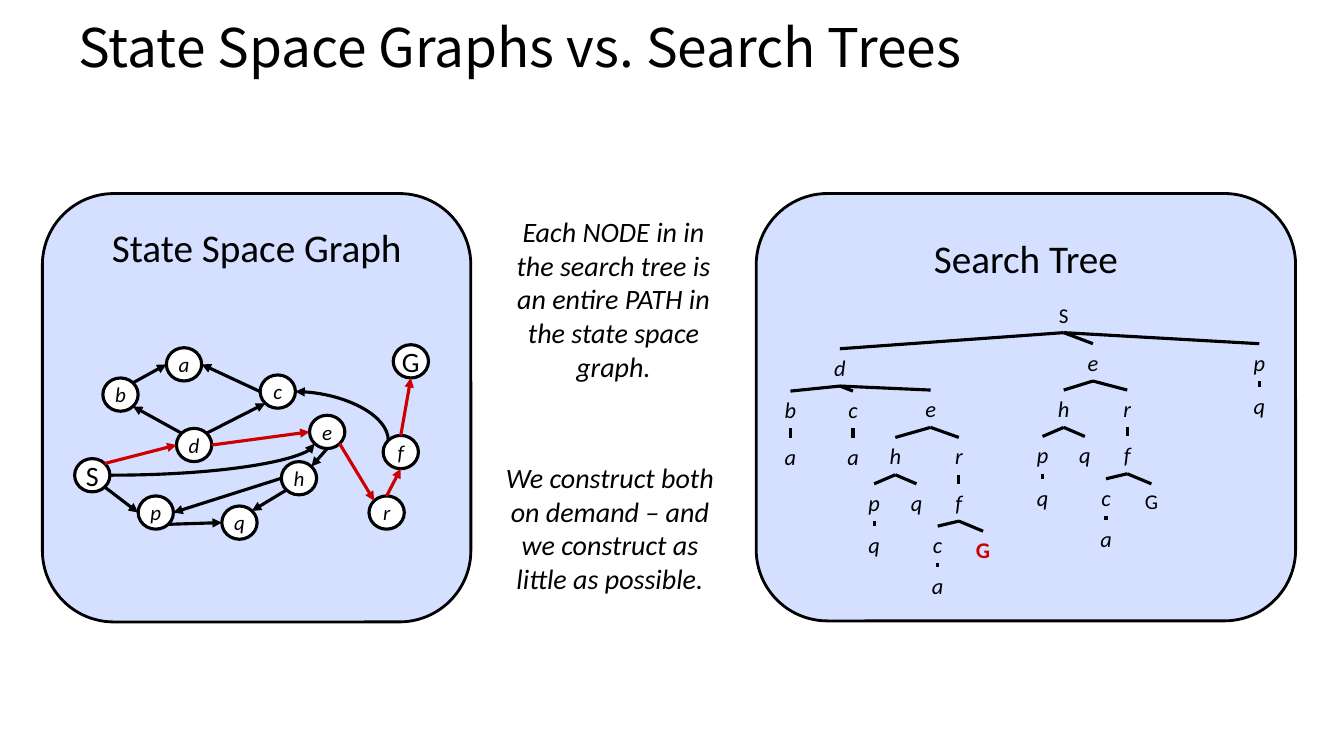
from dataclasses import dataclass, field

from lxml.etree import SubElement
from pptx import Presentation
from pptx.dml.color import RGBColor
from pptx.enum.shapes import MSO_CONNECTOR as Link, MSO_SHAPE as Preset
from pptx.enum.text import MSO_ANCHOR as Anchor, PP_ALIGN as Align
from pptx.oxml.ns import qn
from pptx.util import Pt

PX = 9144  # one px is a hundredth of an inch
COLORS = {"black": "000000", "white": "FFFFFF", "red": "CC0000", "panel": "D5DFFF"}
BODY_FONT, TITLE_FONT = "Calibri", "Noto Sans CJK KR"
NODE_W, NODE_H = 35, 33
LABEL_W, LABEL_H = 34, 37
DIAGONAL = 0.707
# Circle connection sites: index, then direction from the centre
SITES = {"T": (0, 0, -1), "TL": (1, -DIAGONAL, -DIAGONAL), "L": (2, -1, 0),
         "BL": (3, -DIAGONAL, DIAGONAL), "B": (4, 0, 1), "BR": (5, DIAGONAL, DIAGONAL),
         "R": (6, 1, 0), "TR": (7, DIAGONAL, -DIAGONAL)}


@dataclass
class TextStyle:
    size: int
    italic: bool = False
    bold: bool = False
    color: str = "black"
    font: str = BODY_FONT


@dataclass
class GraphNode:
    label: str
    left: int
    top: int


@dataclass
class GraphEdge:
    start: str
    start_site: str
    end: str
    end_site: str
    color: str = "black"
    curved: bool = False
    arrow: str = "tailEnd"


LETTER = TextStyle(16, italic=True)
CAPITAL = TextStyle(15)
GOAL = TextStyle(16, bold=True, color="red")
NOTE = TextStyle(20, italic=True)
HEADING = TextStyle(28)


@dataclass
class TreeNode:
    label: str
    center: int
    top: int
    children: list["TreeNode"] = field(default_factory=list)
    style: TextStyle = field(default_factory=lambda: LETTER)
    width: int = LABEL_W
    height: int = LABEL_H


def rgb(name: str) -> RGBColor:
    return RGBColor.from_string(COLORS[name])


def style_text(shape, text: str, style: TextStyle, align=Align.CENTER) -> None:
    shape.text_frame.text = text
    para = shape.text_frame.paragraphs[0]
    para.alignment = align
    font = para.runs[0].font
    font.name, font.size = style.font, Pt(style.size)
    font.italic, font.bold = style.italic, style.bold
    font.color.rgb = rgb(style.color)


def add_text(page, left: int, top: int, width: int, height: int, text: str,
             style: TextStyle, align=Align.CENTER):
    box = page.shapes.add_textbox(left * PX, top * PX, width * PX, height * PX)
    box.text_frame.word_wrap = True
    style_text(box, text, style, align)
    return box


def add_outlined(page, preset, left: int, top: int, width: int, height: int,
                 fill: str, weight: float):
    shape = page.shapes.add_shape(preset, left * PX, top * PX, width * PX, height * PX)
    shape.shadow.inherit = False
    shape.fill.solid()
    shape.fill.fore_color.rgb = rgb(fill)
    shape.line.color.rgb = rgb("black")
    shape.line.width = Pt(weight)
    return shape


def add_line(page, start: tuple, end: tuple, color: str = "black", kind=Link.STRAIGHT):
    line = page.shapes.add_connector(kind, *(round(n * PX) for n in (*start, *end)))
    line.line.color.rgb = rgb(color)
    line.line.width = Pt(2.25)
    SubElement(line._element.spPr, qn("a:effectLst"))
    return line


def add_circle(page, node: GraphNode):
    circle = add_outlined(page, Preset.FLOWCHART_CONNECTOR, node.left, node.top,
                          NODE_W, NODE_H, "white", 2.25)
    style = TextStyle(20) if node.label.isupper() else TextStyle(15, italic=True)
    circle.text_frame.word_wrap = False
    circle.text_frame.vertical_anchor = Anchor.MIDDLE
    style_text(circle, node.label, style)
    return circle


def site_point(node: GraphNode, site: str) -> tuple[float, float]:
    _, across, down = SITES[site]
    return (node.left + NODE_W / 2 * (1 + across), node.top + NODE_H / 2 * (1 + down))


def add_edge(page, edge: GraphEdge, nodes: dict, circles: dict) -> None:
    kind = Link.CURVE if edge.curved else Link.STRAIGHT
    line = add_line(page, site_point(nodes[edge.start], edge.start_site),
                    site_point(nodes[edge.end], edge.end_site), edge.color, kind)
    if edge.curved:
        line._element.spPr.find(qn("a:prstGeom")).set("prst", "curvedConnector2")
    SubElement(line.line._get_or_add_ln(), qn(f"a:{edge.arrow}"), type="triangle")
    joints = line._element.find(qn("p:nvCxnSpPr")).find(qn("p:cNvCxnSpPr"))
    for tag, label, site in (("a:stCxn", edge.start, edge.start_site),
                             ("a:endCxn", edge.end, edge.end_site)):
        SubElement(joints, qn(tag), id=str(circles[label].shape_id), idx=str(SITES[site][0]))


def add_tree(page, node: TreeNode):
    box = add_text(page, node.center - node.width // 2, node.top, node.width,
                   node.height, node.label, node.style)
    for child in node.children:
        child_box = add_tree(page, child)
        branch = add_line(page, (node.center, node.top + node.height),
                          (child.center, child.top))
        branch.begin_connect(box, 2)
        branch.end_connect(child_box, 0)
    return box


def e_subtree(center: int, top: int, x: int, y: int, goal: TextStyle) -> TreeNode:
    """Everything reached from e; x and y place its child h."""
    c = TreeNode("c", x + 42, y + 88, [TreeNode("a", x + 42, y + 129)])
    g = TreeNode("G", x + 87, y + 93, style=goal, width=68)
    f = TreeNode("f", x + 63, y + 46, [c, g])
    p = TreeNode("p", x - 21, y + 46, [TreeNode("q", x - 21, y + 88)])
    h = TreeNode("h", x, y, [p, TreeNode("q", x + 21, y + 46)])
    return TreeNode("e", center, top, [h, TreeNode("r", x + 63, y, [f])])


NODES = [GraphNode("S", 74, 455), GraphNode("G", 390, 342), GraphNode("d", 175, 425),
         GraphNode("b", 102, 375), GraphNode("p", 137, 492), GraphNode("q", 220, 502),
         GraphNode("c", 258, 372), GraphNode("e", 307, 412), GraphNode("h", 279, 458),
         GraphNode("a", 165, 345), GraphNode("f", 380, 432), GraphNode("r", 366, 492)]
EDGES = [GraphEdge("S", "BR", "p", "L"), GraphEdge("p", "BR", "q", "L"),
         GraphEdge("h", "BL", "q", "TR"), GraphEdge("h", "L", "p", "R"),
         GraphEdge("e", "B", "h", "TR"), GraphEdge("e", "BR", "r", "TL", "red"),
         GraphEdge("r", "T", "f", "B", "red"), GraphEdge("f", "T", "G", "B", "red"),
         GraphEdge("S", "TR", "d", "L", "red"), GraphEdge("d", "TL", "b", "BR"),
         GraphEdge("b", "TR", "a", "L"), GraphEdge("c", "L", "a", "R"),
         GraphEdge("d", "TR", "c", "BL"), GraphEdge("d", "R", "e", "L", "red"),
         GraphEdge("c", "R", "f", "TL", curved=True, arrow="headEnd"),
         GraphEdge("S", "R", "e", "BL", curved=True)]
TREE = TreeNode("S", 1055, 295, [
    TreeNode("d", 833, 346, [
        TreeNode("b", 784, 388, [TreeNode("a", 784, 435)]),
        TreeNode("c", 846, 388, [TreeNode("a", 846, 435)]),
        e_subtree(923, 387, 888, 434, GOAL)]),
    e_subtree(1084, 341, 1055, 387, CAPITAL),
    TreeNode("p", 1249, 341, [TreeNode("q", 1249, 384)])], CAPITAL, 90, 35)


def main() -> None:
    deck = Presentation()
    deck.slide_width, deck.slide_height = 1333 * PX, 750 * PX
    page = deck.slides.add_slide(deck.slide_layouts[6])

    # Panels and title
    add_outlined(page, Preset.ROUNDED_RECTANGLE, 750, 192, 535, 424, "panel", 2)
    add_outlined(page, Preset.ROUNDED_RECTANGLE, 42, 192, 425, 425, "panel", 2)
    title = add_text(page, 67, 2, 1200, 87, "State Space Graphs vs. Search Trees",
                     TextStyle(38, font=TITLE_FONT), Align.LEFT)
    title.text_frame.vertical_anchor = Anchor.MIDDLE
    title.text_frame.margin_left = title.text_frame.margin_right = 11 * PX

    # Search tree
    add_tree(page, TREE)

    # State space graph
    nodes = {node.label: node for node in NODES}
    circles = {node.label: add_circle(page, node) for node in NODES}
    for edge in EDGES:
        add_edge(page, edge, nodes, circles)

    # Notes and panel headings
    add_text(page, 492, 452, 226, 145, "We construct both on demand – and we construct "
             "as little as possible.", NOTE)
    add_text(page, 500, 208, 217, 178, "Each NODE in in the search tree is an entire PATH "
             "in the state space graph.", NOTE)
    add_text(page, 751, 228, 533, 57, "Search Tree", HEADING)
    add_text(page, 67, 217, 375, 57, "State Space Graph", HEADING)
    deck.save("out.pptx")


if __name__ == "__main__":
    main()
